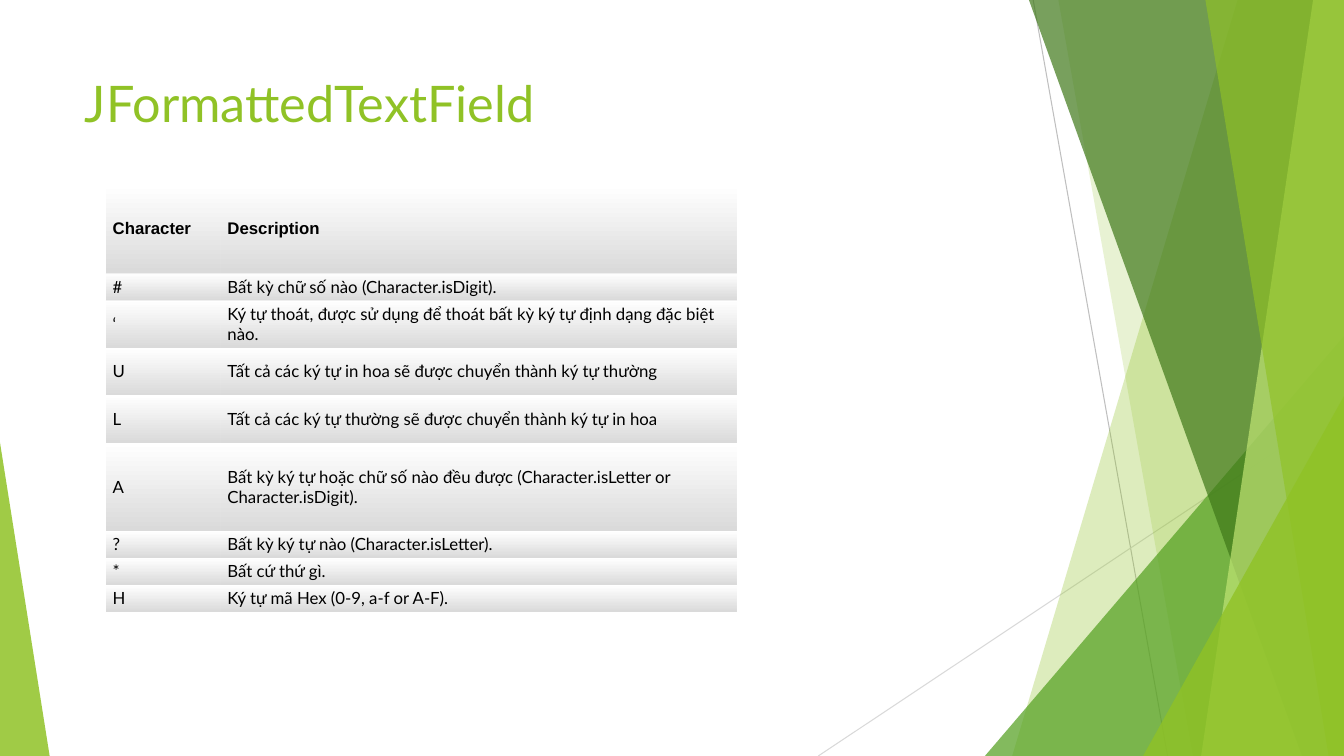
"""Build a slide listing the mask characters of JFormattedTextField."""
from lxml import etree
from pptx import Presentation
from pptx.dml.color import RGBColor
from pptx.enum.shapes import MSO_CONNECTOR, MSO_SHAPE
from pptx.enum.text import MSO_ANCHOR, MSO_AUTO_SIZE, PP_ALIGN
from pptx.oxml import parse_xml
from pptx.oxml.ns import nsdecls, qn
from pptx.util import Pt

STRAIGHT = MSO_CONNECTOR.STRAIGHT
TRIANGLE = MSO_SHAPE.ISOSCELES_TRIANGLE
TOP, MIDDLE = MSO_ANCHOR.TOP, MSO_ANCHOR.MIDDLE
LEFT = PP_ALIGN.LEFT
NO_AUTOFIT = MSO_AUTO_SIZE.NONE

THEME = {
    "lime": "90C226", "green": "54A021", "forest": "3F7819", "pale": "C0E474",
    "ray": "BFBFBF", "faint_ray": "D9D9D9", "text": "000000",
    "cell_top": "FFFFFF", "cell_bottom": "DADADA", "header_rule": "EFEFEF",
    "title_size": 36, "table_size": 12, "font": "Lato", "header_font": "Arial",
}
SLIDE_WIDTH, SLIDE_HEIGHT = 960, 540
NO_STYLE_NO_GRID = "{2D5ABB26-0587-4C30-8999-92F81FD0307C}"


def color(name):
    return RGBColor.from_string(THEME[name])


def add_run(paragraph, text, font, size, color_name, bold=False):
    run = paragraph.add_run()
    run.text = text
    run.font.name = THEME[font]
    run.font.size = Pt(THEME[size])
    run.font.bold = bold
    run.font.color.rgb = color(color_name)


prs = Presentation()
prs.slide_width, prs.slide_height = Pt(SLIDE_WIDTH), Pt(SLIDE_HEIGHT)
slide = prs.slides.add_slide(prs.slide_layouts[5])
shapes = slide.shapes

rays = [((738, 0), (834, 540), "ray"), ((960, 290), (584.5, 540), "faint_ray")]
for start, end, ray_color in rays:
    ray = shapes.add_connector(STRAIGHT, *map(Pt, start + end))
    ray.line.color.rgb = color(ray_color)
    ray.line.width = Pt(0.75)
    etree.SubElement(ray._element.spPr, qn("a:effectLst"))

# Bands give top and bottom x; triangles give left, top, width and apex.
facets = [
    ((884, 723), "lime", 30),
    ((756, 852), "lime", 20),
    ((703.5, 240, 256.5, 1), "green", 72),
    ((735, 930), "forest", 70),
    ((938, 858), "pale", 70),
    ((861, 949), "lime", 65),
    ((816.5, 283, 143.5, 1), "lime", 80),
    ((0, 316, 35.5, 0), "lime", 85),
]
for geometry, facet_color, opacity in facets:
    if len(geometry) == 2:
        top_x, bottom_x = geometry
        outline = shapes.build_freeform(Pt(top_x), 0)
        corners = [(SLIDE_WIDTH, 0), (SLIDE_WIDTH, SLIDE_HEIGHT), (bottom_x, SLIDE_HEIGHT)]
        outline.add_line_segments([(Pt(x), Pt(y)) for x, y in corners])
        facet = outline.convert_to_shape()
    else:
        left, top, width, apex = geometry
        facet = shapes.add_shape(TRIANGLE, Pt(left), Pt(top), Pt(width), Pt(SLIDE_HEIGHT - top))
        facet.adjustments[0] = apex
    facet.shadow.inherit = False
    facet.line.fill.background()
    facet.fill.solid()
    facet.fill.fore_color.rgb = color(facet_color)
    tint = facet._element.spPr.find(qn("a:solidFill"))[0]
    etree.SubElement(tint, qn("a:alpha"), val=str(opacity * 1000))

title = shapes.title
title.left, title.top, title.width, title.height = Pt(53.5), Pt(48), Pt(677), Pt(104)
title.text_frame.word_wrap = True
title.text_frame.auto_size = NO_AUTOFIT
title.text_frame.vertical_anchor = TOP
heading = title.text_frame.paragraphs[0]
heading.alignment = LEFT
add_run(heading, "JFormattedTextField", "font", "title_size", "lime")

mask_rows = [
    (63, "Character ", "Description"),
    (19.3, "#", "Bất kỳ chữ số nào (Character.isDigit)."),
    (34, "‘", "Ký tự thoát, được sử dụng để thoát bất kỳ ký tự định dạng đặc biệt nào."),
    (34, "U", "Tất cả các ký tự in hoa sẽ được chuyển thành ký tự thường"),
    (34, "L", "Tất cả các ký tự thường sẽ được chuyển thành ký tự in hoa"),
    (63, "A", "Bất kỳ ký tự hoặc chữ số nào đều được (Character.isLetter or Character.isDigit)."),
    (19.3, "?", "Bất kỳ ký tự nào (Character.isLetter)."),
    (19.3, "*", "Bất cứ thứ gì."),
    (19.3, "H", "Ký tự mã Hex (0-9, a-f or A-F)."),
]
column_widths = [82, 368.7]
table_height = sum(row[0] for row in mask_rows)
frame = shapes.add_table(len(mask_rows), len(column_widths), Pt(75.5), Pt(132),
                         Pt(sum(column_widths)), Pt(table_height))
masks = frame.table
masks.first_row = masks.horz_banding = False
masks._tbl.tblPr.find(qn("a:tableStyleId")).text = NO_STYLE_NO_GRID
for column, width in zip(masks.columns, column_widths):
    column.width = Pt(width)

for row_index, (height, *texts) in enumerate(mask_rows):
    masks.rows[row_index].height = Pt(height)
    is_header = row_index == 0
    for column_index, text in enumerate(texts):
        cell = masks.cell(row_index, column_index)
        cell.vertical_anchor = MIDDLE
        cell.margin_left = cell.margin_right = Pt(5)
        cell.margin_top = cell.margin_bottom = Pt(2.4)
        cell.fill.gradient()
        cell.fill.gradient_angle = 270
        for stop, stop_color in zip(cell.fill.gradient_stops, ("cell_top", "cell_bottom")):
            stop.color.rgb = color(stop_color)
        if row_index < 2:
            side = "lnB" if is_header else "lnT"
            cell._tc.tcPr.insert(0, parse_xml(
                f'<a:{side} {nsdecls("a")} w="{Pt(0.5)}"><a:solidFill>'
                f'<a:srgbClr val="{THEME["header_rule"]}"/></a:solidFill></a:{side}>'))
        add_run(cell.text_frame.paragraphs[0], text,
                "header_font" if is_header else "font", "table_size", "text", is_header)

prs.save("out.pptx")
